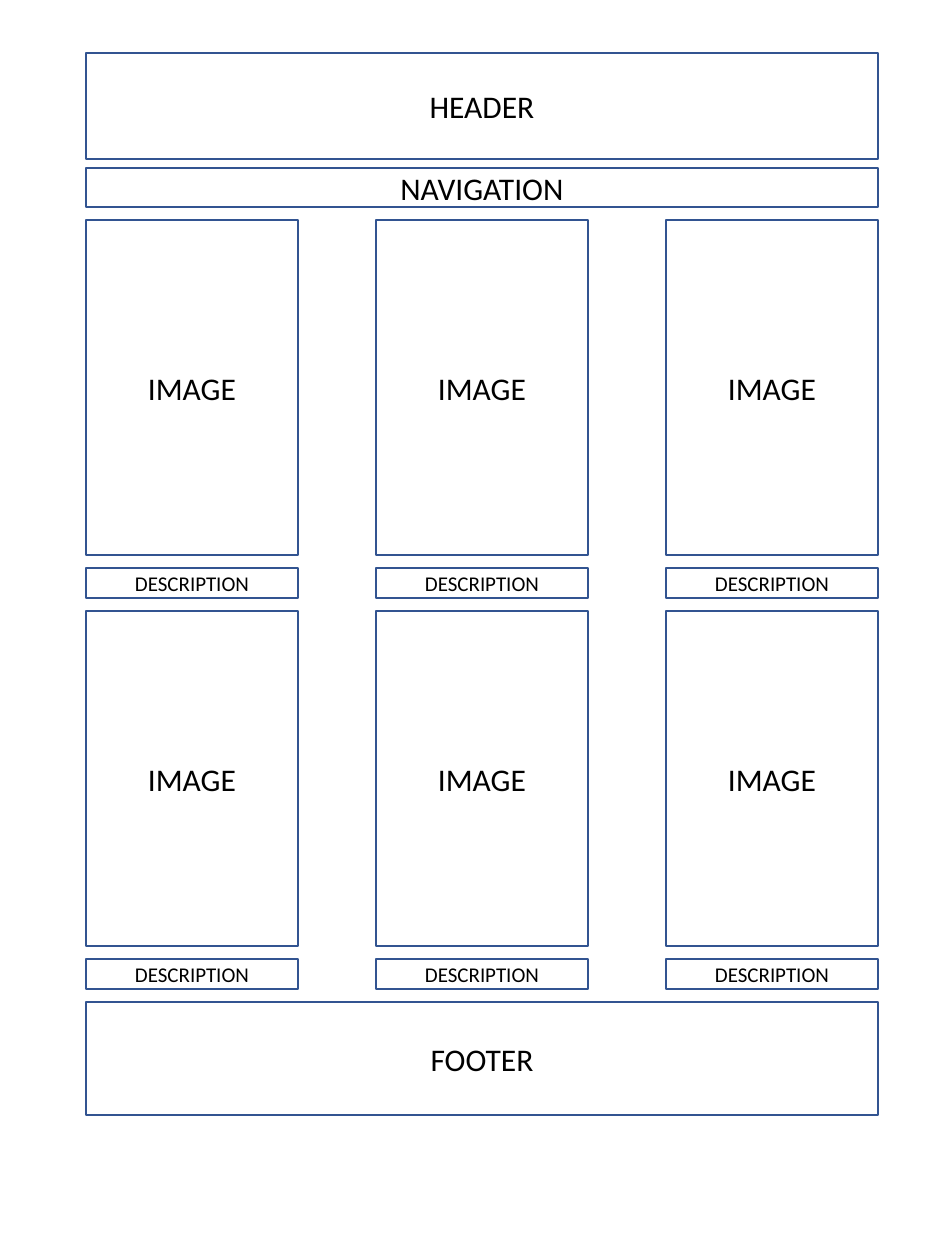
from dataclasses import dataclass

from pptx import Presentation
from pptx.dml.color import RGBColor
from pptx.enum.shapes import MSO_SHAPE as Shape
from pptx.enum.text import MSO_ANCHOR as Anchor, PP_ALIGN as Align
from pptx.util import Pt

EMU_PER_PIXEL = 914400 / 126


@dataclass(frozen=True)
class Theme:
    font: str = "Calibri"
    fill: RGBColor = RGBColor(0xFF, 0xFF, 0xFF)
    line: RGBColor = RGBColor(0x32, 0x54, 0x91)
    text: RGBColor = RGBColor(0, 0, 0)
    line_width: int = 1
    label_size: int = 18
    description_size: int = 12


THEME = Theme()

# Page frame and card grid, in pixels
PAGE_WIDTH, PAGE_HEIGHT = 945, 1260
LEFT, CONTENT_WIDTH = 86, 792
COLUMNS, ROWS = 3, 2
CARD_WIDTH = 212
COLUMN_STEP = (CONTENT_WIDTH - CARD_WIDTH) // (COLUMNS - 1)
GRID_TOP, GAP = 220, 13
IMAGE_HEIGHT, DESCRIPTION_HEIGHT = 335, 30
ROW_STEP = IMAGE_HEIGHT + DESCRIPTION_HEIGHT + 2 * GAP


def px(pixels):
    return round(pixels * EMU_PER_PIXEL)


def add_box(page, label, left, top, width, height, size=THEME.label_size):
    box = page.shapes.add_shape(
        Shape.RECTANGLE, px(left), px(top), px(width), px(height))
    box.shadow.inherit = False
    box.fill.solid()
    box.fill.fore_color.rgb = THEME.fill
    box.line.color.rgb = THEME.line
    box.line.width = Pt(THEME.line_width)

    frame = box.text_frame
    frame.word_wrap = True
    frame.vertical_anchor = Anchor.MIDDLE
    para = frame.paragraphs[0]
    para.text = label
    para.alignment = Align.CENTER
    para.font.name = THEME.font
    para.font.size = Pt(size)
    para.font.color.rgb = THEME.text


def add_band(page, label, top, height):
    add_box(page, label, LEFT, top, CONTENT_WIDTH, height)


def add_card_row(page, top):
    lefts = [LEFT + column * COLUMN_STEP for column in range(COLUMNS)]
    for left in lefts:
        add_box(page, "IMAGE", left, top, CARD_WIDTH, IMAGE_HEIGHT)
    for left in lefts:
        add_box(page, "DESCRIPTION", left, top + IMAGE_HEIGHT + GAP,
                CARD_WIDTH, DESCRIPTION_HEIGHT, THEME.description_size)


def main():
    deck = Presentation()
    deck.slide_width, deck.slide_height = px(PAGE_WIDTH), px(PAGE_HEIGHT)
    page = deck.slides.add_slide(deck.slide_layouts[6])

    # Top bands
    add_band(page, "HEADER", 53, 106)
    add_band(page, "NAVIGATION", 168, 39)

    # Image cards with descriptions
    for row in range(ROWS):
        add_card_row(page, GRID_TOP + row * ROW_STEP)

    # Bottom band
    add_band(page, "FOOTER", GRID_TOP + ROWS * ROW_STEP, 113)

    deck.save("out.pptx")


main()
